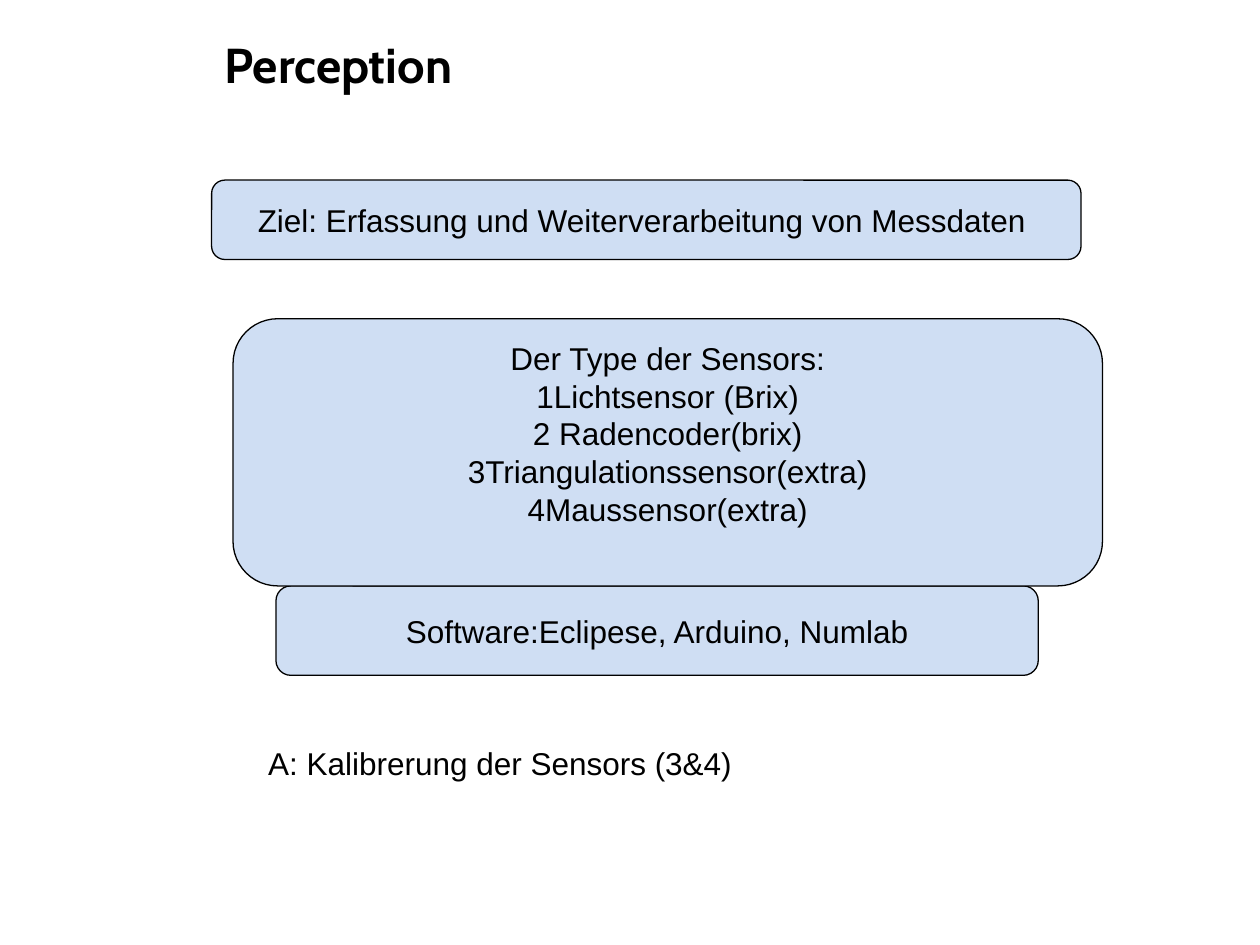
from pptx import Presentation
from pptx.dml.color import RGBColor
from pptx.enum import shapes, text
from pptx.util import Inches, Pt

# Content: lines, (left, top, width, height), then right and bottom insets
TITLE = ("Perception", (1.68, 0.22, 6.57, 0.57))
PANELS = [
    (["Ziel: Erfassung und Weiterverarbeitung von Messdaten"],
     (1.68, 1.43, 6.9, 0.63), 0.17, 0.05),
    (["Software:Eclipese, Arduino, Numlab"],
     (2.19, 4.65, 6.05, 0.71), 0.1, 0.05),
    (["Der Type der Sensors:", "1Lichtsensor (Brix)", "2 Radencoder(brix)",
      "3Triangulationssensor(extra)", "4Maussensor(extra)"],
     (1.85, 2.53, 6.9, 2.12), 0.1, 0.35),
]
TASK = ("A: Kalibrerung der Sensors (3&4)", (2.03, 5.86, 5.77, 0.4))

THEME = {
    "ink": RGBColor.from_string("000000"),
    "panel": RGBColor.from_string("CFDEF3"),
    "outline": Pt(0.75),
    "title": {"name": "Cabin", "size": Pt(28), "bold": True},
    "body": {"name": "Arial", "size": Pt(18), "bold": False},
}


def set_all(target, values):
    for name, value in values.items():
        setattr(target, name, value)


def write(frame, lines, style, align, anchor, right=0.1, bottom=0.05):
    set_all(frame, {
        "word_wrap": True, "auto_size": text.MSO_AUTO_SIZE.NONE,
        "vertical_anchor": anchor,
        "margin_left": Inches(0.1), "margin_right": Inches(right),
        "margin_top": Inches(0.05), "margin_bottom": Inches(bottom),
    })
    for index, line in enumerate(lines):
        paragraph = frame.add_paragraph() if index else frame.paragraphs[0]
        set_all(paragraph, {"text": line, "alignment": align,
                            "line_spacing": 1.0, "space_before": Pt(0)})
        set_all(paragraph.font, THEME[style])
        paragraph.font.color.rgb = THEME["ink"]


def main():
    deck = Presentation()
    set_all(deck, {"slide_width": Inches(10), "slide_height": Inches(7.5)})
    slide = deck.slides.add_slide(deck.slide_layouts[5])
    left, top = text.PP_ALIGN.LEFT, text.MSO_ANCHOR.TOP

    # Heading
    heading, box = TITLE
    title = slide.shapes.title
    set_all(title, dict(zip(("left", "top", "width", "height"), map(Inches, box))))
    write(title.text_frame, [heading], "title", left, top)

    # Rounded panels
    for lines, box, right, bottom in PANELS:
        panel = slide.shapes.add_shape(
            shapes.MSO_SHAPE.ROUNDED_RECTANGLE, *map(Inches, box))
        panel.shadow.inherit = False
        panel.fill.solid()
        panel.fill.fore_color.rgb = THEME["panel"]
        panel.line.color.rgb = THEME["ink"]
        panel.line.width = THEME["outline"]
        write(panel.text_frame, lines, "body", text.PP_ALIGN.CENTER,
              text.MSO_ANCHOR.MIDDLE, right, bottom)

    # Calibration task
    line, box = TASK
    task = slide.shapes.add_textbox(*map(Inches, box))
    write(task.text_frame, [line], "body", left, top)

    deck.save("out.pptx")


if __name__ == "__main__":
    main()
